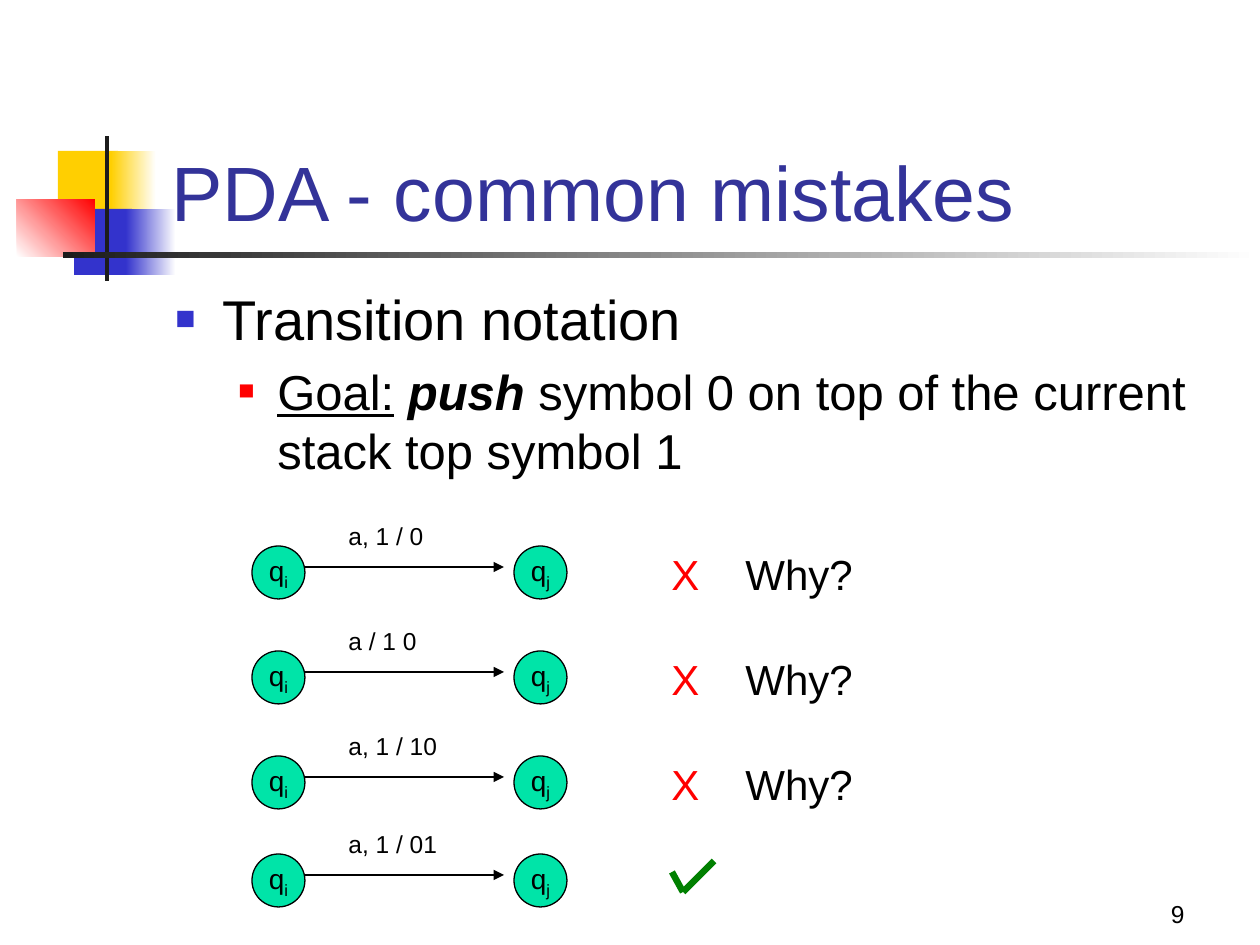
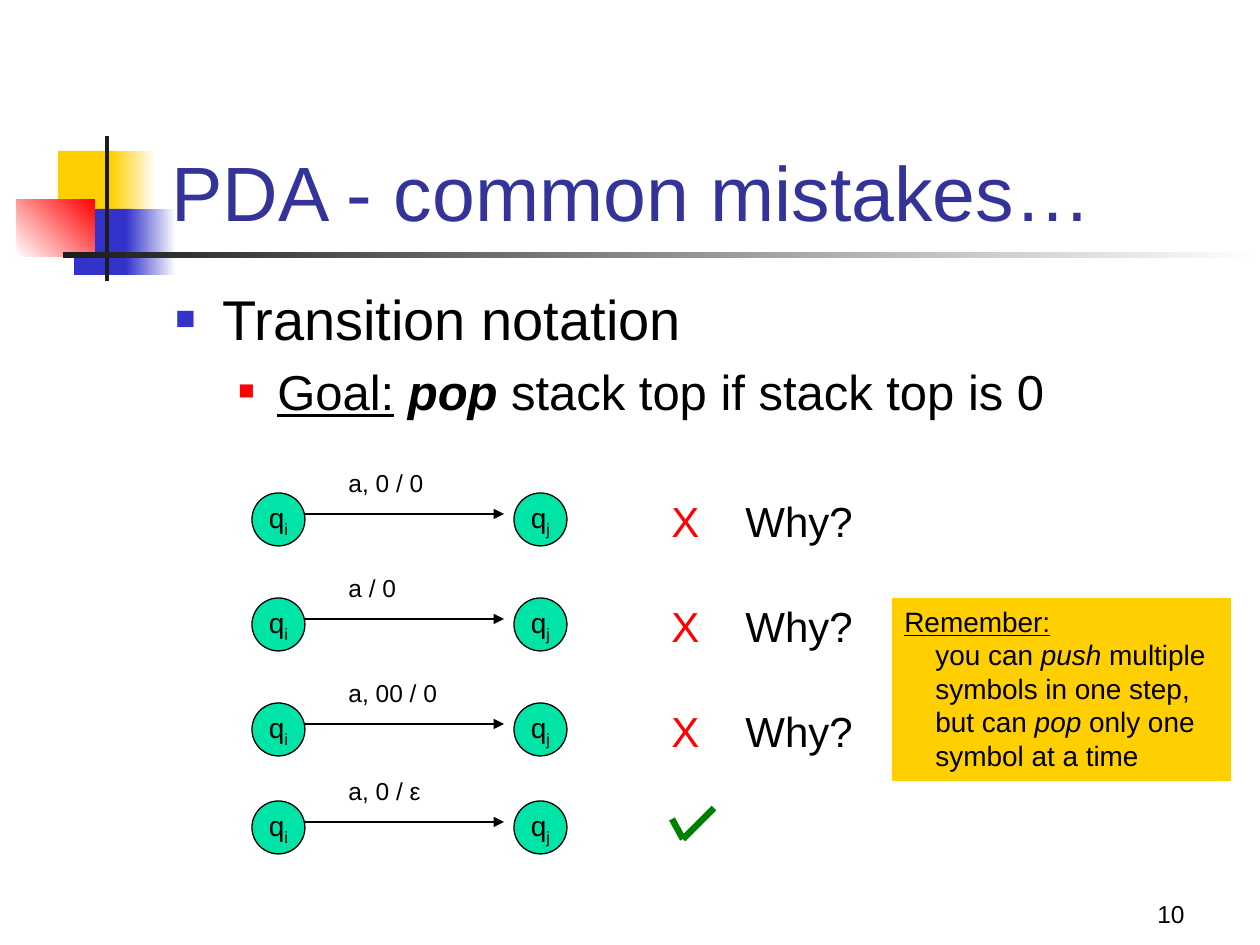
from lxml.etree import SubElement
from pptx import Presentation
from pptx.dml.color import RGBColor
from pptx.enum.shapes import MSO_CONNECTOR, MSO_SHAPE
from pptx.enum.text import MSO_ANCHOR as Anchor, MSO_AUTO_SIZE as AutoSize, PP_ALIGN as Align
from pptx.oxml.ns import qn
from pptx.util import Emu, Pt

PIXEL = 914400 / 126
FONT = "Arial"

BLACK = RGBColor(0x00, 0x00, 0x00)
WHITE = RGBColor(0xFF, 0xFF, 0xFF)
CHARCOAL = RGBColor(0x1C, 0x1C, 0x1C)
YELLOW = RGBColor(0xFF, 0xCF, 0x01)
BLUE = RGBColor(0x33, 0x33, 0xCC)
RED = RGBColor(0xFF, 0x00, 0x00)
TITLE_BLUE = RGBColor(0x33, 0x33, 0x99)
STATE_GREEN = RGBColor(0x00, 0xE4, 0xA8)
CHECK_GREEN = RGBColor(0x00, 0x80, 0x00)

UNDERLINE = {"underline": True}
ITALIC = {"italic": True}
BOLD_ITALIC = {"bold": True, "italic": True}

# left, top, width, height, colours from start to end, gradient angle
ORNAMENT = [
    (58, 151, 60, 66, (YELLOW,), 0),
    (111, 151, 45, 66, (YELLOW, WHITE), 0),
    (74, 209, 58, 66, (BLUE,), 0),
    (126, 209, 50, 66, (BLUE, WHITE), 0),
    (17, 199, 78, 58, (WHITE, RED), 45),
    (105, 136, 4, 145, (CHARCOAL,), 0),
    (63, 252, 1197, 6, (CHARCOAL, WHITE), 0),
]

ROW_OFFSETS = (0, 105, 210, 308)

# Each slide's last transition is the right one.
SLIDES = [
    {
        "number": "9",
        "title": "PDA - common mistakes",
        "goal": [("push", BOLD_ITALIC),
                 (" symbol 0 on top of the current stack top symbol 1", {})],
        "top": 546,
        "transitions": ["a, 1 / 0", "a / 1 0", "a, 1 / 10", "a, 1 / 01"],
    },
    {
        "number": "10",
        "title": "PDA - common mistakes…",
        "goal": [("pop", BOLD_ITALIC), (" stack top if stack top is 0", {})],
        "top": 493,
        "transitions": ["a, 0 / 0", "a / 0", "a, 00 / 0", "a, 0 / ε"],
        "reminder": [("Remember:", UNDERLINE), ("\nyou can ", {}),
                     ("push", ITALIC),
                     (" multiple\nsymbols in one step,\nbut can ", {}),
                     ("pop", ITALIC), (" only one\nsymbol at a time", {})],
    },
]


def px(*lengths):
    """Turn picture pixels into EMU."""
    return [Emu(round(length * PIXEL)) for length in lengths]


def write_runs(paragraph, runs, size, color=BLACK):
    """Add (text, format) runs; a newline in the text is a line break."""
    for text, formats in runs:
        for index, piece in enumerate(text.split("\n")):
            if index:
                paragraph.add_line_break()
            if not piece:
                continue
            run = paragraph.add_run()
            run.text = piece
            values = {"name": FONT, "size": Pt(size), **formats}
            for attribute, value in values.items():
                setattr(run.font, attribute, value)
            run.font.color.rgb = color


def set_indent(paragraph, left, hanging):
    """Set the left margin and a hanging first line, in pixels."""
    margin, outdent = px(left, -hanging)
    properties = paragraph._p.get_or_add_pPr()
    properties.set("marL", str(margin))
    properties.set("indent", str(outdent))
    return properties


def set_bullet(paragraph, color, percent, left, hanging):
    """Give a paragraph a coloured square bullet."""
    properties = set_indent(paragraph, left, hanging)
    bullet_color = SubElement(properties, qn("a:buClr"))
    SubElement(bullet_color, qn("a:srgbClr"), val=str(color))
    SubElement(properties, qn("a:buSzPct"), val=str(percent * 1000))
    SubElement(properties, qn("a:buFont"), typeface=FONT)
    SubElement(properties, qn("a:buChar"), char="■")


def add_text(slide, box, text, size, color=BLACK,
             align=Align.LEFT, anchor=Anchor.TOP):
    """Add a one-paragraph text box."""
    frame = slide.shapes.add_textbox(*px(*box)).text_frame
    frame.word_wrap = True
    frame.vertical_anchor = anchor
    frame.paragraphs[0].alignment = align
    write_runs(frame.paragraphs[0], [(text, {})], size, color)


def add_block(slide, kind, box, colors, angle=0):
    """Add an unlined shape with a plain or two-colour gradient fill."""
    block = slide.shapes.add_shape(kind, *px(*box))
    block.shadow.inherit = False
    block.line.fill.background()
    if len(colors) == 1:
        block.fill.solid()
        block.fill.fore_color.rgb = colors[0]
    else:
        block.fill.gradient()
        block.fill.gradient_angle = angle
        for stop, color in zip(block.fill.gradient_stops, colors):
            stop.color.rgb = color
    return block


def add_line(slide, start, end, color, width, arrow=False):
    """Add a straight line, with an arrowhead at its end if asked."""
    line = slide.shapes.add_connector(MSO_CONNECTOR.STRAIGHT,
                                      *px(*start, *end))
    line.line.color.rgb = color
    line.line.width = Pt(width)
    if arrow:
        SubElement(line.line._get_or_add_ln(), qn("a:tailEnd"),
                   type="triangle")
    SubElement(line._element.spPr, qn("a:effectLst"))


def add_state(slide, left, top, subscript):
    """Add an automaton state: a circle holding q and its subscript."""
    state = add_block(slide, MSO_SHAPE.OVAL, (left, top, 53, 53),
                      (STATE_GREEN,))
    state.line.color.rgb = BLACK
    state.line.width = Pt(0.75)
    frame = state.text_frame
    frame.word_wrap = False
    frame.vertical_anchor = Anchor.MIDDLE
    name = frame.paragraphs[0]
    name.alignment = Align.CENTER
    write_runs(name, [("q", {}), (subscript, {})], 16)
    name.runs[1]._r.get_or_add_rPr().set("baseline", "-25000")


def add_transition(slide, top, label, correct):
    """Add one row: two states, the labelled arrow and the verdict."""
    add_state(slide, 252, top, "i")
    add_state(slide, 514, top, "j")
    add_line(slide, (305, top + 21), (504, top + 21), BLACK, 0.75, arrow=True)
    add_text(slide, (336, top - 31, 121, 42), label, 14)
    if correct:
        corner = (683, top + 38)
        add_line(slide, (672, top + 18), corner, CHECK_GREEN, 3.75)
        add_line(slide, corner, (714, top + 7), CHECK_GREEN, 3.75)
    else:
        add_text(slide, (659, top - 4, 58, 63), "X", 24, RED)
        add_text(slide, (733, top - 4, 144, 63), "Why?", 24)


def add_frame(slide, title, number):
    """Add what all slides share: ornament, slide number and title."""
    for *box, colors, angle in ORNAMENT:
        add_block(slide, MSO_SHAPE.RECTANGLE, box, colors, angle)
    add_text(slide, (935, 872, 262, 63), number, 14,
             align=Align.RIGHT, anchor=Anchor.BOTTOM)
    heading = slide.shapes.title
    heading.left, heading.top, heading.width, heading.height = px(
        159, 86, 1073, 157)
    frame = heading.text_frame
    frame.auto_size = AutoSize.NONE
    frame.vertical_anchor = Anchor.BOTTOM
    frame.paragraphs[0].alignment = Align.LEFT
    write_runs(frame.paragraphs[0], [(title, {})], 44, TITLE_BLUE)


def add_outline(slide, goal):
    """Add the topic and, one level below, the goal."""
    frame = slide.shapes.add_textbox(*px(163, 278, 1071, 567)).text_frame
    frame.word_wrap = True
    topic, aim = frame.paragraphs[0], frame.add_paragraph()
    aim.level = 1
    topic.space_before, aim.space_before = Pt(6.4), Pt(5.6)
    set_bullet(topic, BLUE, 60, 47, 47)
    set_bullet(aim, RED, 55, 102, 39)
    write_runs(topic, [("Transition notation", {})], 32)
    write_runs(aim, [("Goal:", UNDERLINE), (" ", {}), *goal], 28)


def add_reminder(slide, runs):
    """Add the yellow note, its lines indented below the first."""
    note = add_block(slide, MSO_SHAPE.RECTANGLE, (892, 598, 339, 183),
                     (YELLOW,))
    frame = note.text_frame
    frame.word_wrap = True
    frame.vertical_anchor = Anchor.TOP
    paragraph = frame.paragraphs[0]
    paragraph.alignment = Align.LEFT
    set_indent(paragraph, 31, 31)
    write_runs(paragraph, runs, 16)


def main():
    """Build the slides and save them."""
    deck = Presentation()
    deck.slide_width, deck.slide_height = px(1260, 945)
    title_only = deck.slide_layouts[5]
    for content in SLIDES:
        slide = deck.slides.add_slide(title_only)
        add_frame(slide, content["title"], content["number"])
        add_outline(slide, content["goal"])
        for offset, label in zip(ROW_OFFSETS, content["transitions"]):
            add_transition(slide, content["top"] + offset, label,
                           correct=offset == ROW_OFFSETS[-1])
        if "reminder" in content:
            add_reminder(slide, content["reminder"])
    deck.save("out.pptx")


main()
